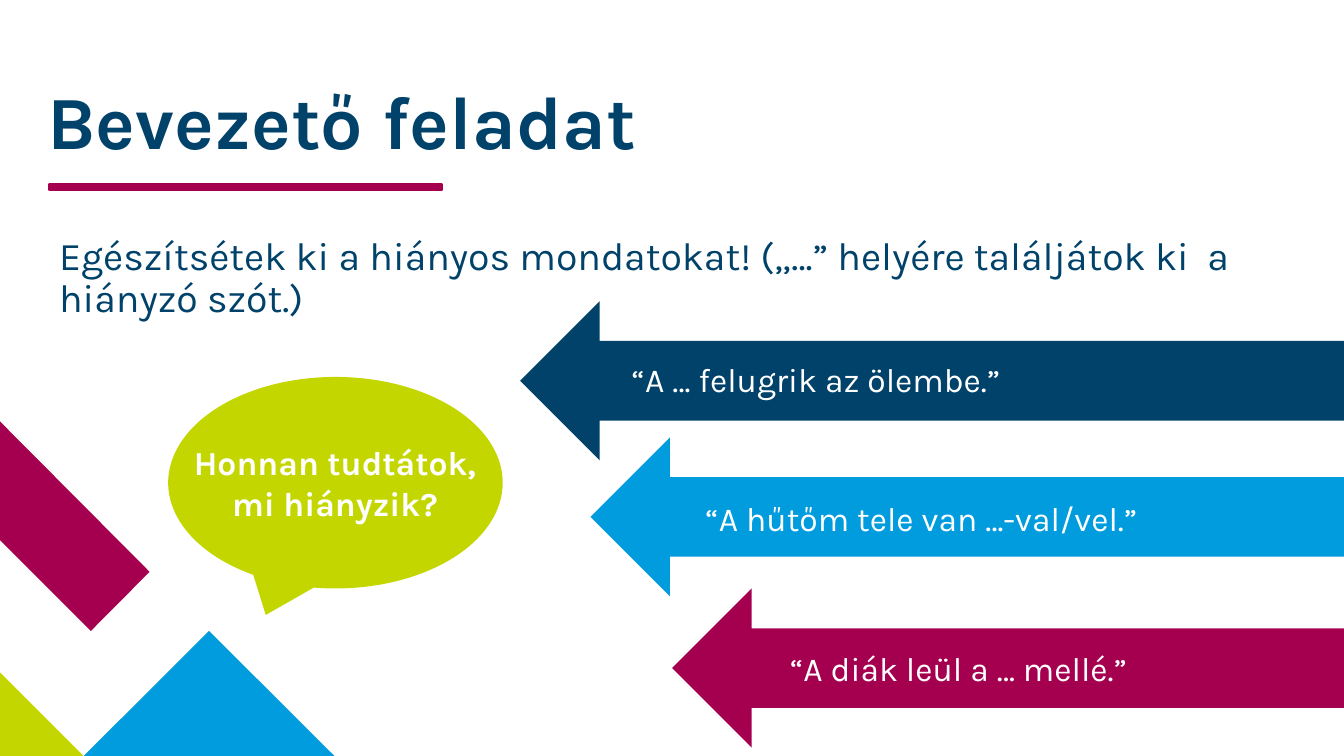
from pptx import Presentation
from pptx.dml.color import RGBColor
from pptx.enum.shapes import MSO_SHAPE
from pptx.enum.text import MSO_ANCHOR, PP_ALIGN
from pptx.util import Cm, Pt

NAVY, BLUE, MAGENTA, LIME, WHITE = "00426A", "009CDE", "A50050", "C4D600", "FFFFFF"
FONT = "Karla"
SLIDE_W, SLIDE_H = 33.87, 19.05

TITLE = "Bevezető feladat"
TASK = "Egészítsétek ki a hiányos mondatokat! („…” helyére találjátok ki  a hiányzó szót.)"
QUESTION = "Honnan tudtátok, mi hiányzik?"

# sentence, colour, arrow (left, top, width), text (left, top, width), all in cm
ARROWS = [
    ("“A … felugrik az ölembe.”", NAVY, (13.11, 7.59, 21.03), (15.67, 8.92, 17.53)),
    ("“A hűtőm tele van …-val/vel.”", BLUE, (14.88, 11.02, 20.47), (17.53, 12.42, 12.75)),
    ("“A diák leül a … mellé.”", MAGENTA, (16.94, 14.83, 20.47), (19.66, 16.21, 12.98)),
]
ARROW_H = 4.01
SENTENCE_H = 1.27

CORNER_PIECES = [
    (LIME, [(2.11, SLIDE_H), (0, SLIDE_H), (0, 16.94)]),
    (BLUE, [(2.11, SLIDE_H), (5.27, 15.9), (8.43, SLIDE_H)]),
    (MAGENTA, [(0, 10.62), (0, 13.61), (2.29, 15.9), (3.77, 14.41)]),
]


def rgb(color):
    return RGBColor.from_string(color)


def paint(sp, color):
    sp.shadow.inherit = False
    sp.fill.solid()
    sp.fill.fore_color.rgb = rgb(color)
    sp.line.fill.background()


def add_filled(s, kind, box, color):
    sp = s.shapes.add_shape(kind, *map(Cm, box))
    paint(sp, color)
    return sp


def add_polygon(s, points, color):
    points = [(Cm(x), Cm(y)) for x, y in points]
    builder = s.shapes.build_freeform(*points[0])
    builder.add_line_segments(points[1:], close=True)
    paint(builder.convert_to_shape(), color)


def add_text(s, text, box, size, color, bold=False, spacing=None,
             align=PP_ALIGN.LEFT, anchor=MSO_ANCHOR.TOP):
    tf = s.shapes.add_textbox(*map(Cm, box)).text_frame
    tf.word_wrap = True
    tf.vertical_anchor = anchor
    tf.text = text
    p = tf.paragraphs[0]
    p.alignment = align
    p.line_spacing = spacing
    font = p.runs[0].font
    font.name, font.size, font.bold = FONT, Pt(size), bold
    font.color.rgb = rgb(color)


def main():
    prs = Presentation()
    prs.slide_width, prs.slide_height = Cm(SLIDE_W), Cm(SLIDE_H)
    s = prs.slides.add_slide(prs.slide_layouts[6])

    for color, points in CORNER_PIECES:
        add_polygon(s, points, color)

    add_text(s, TITLE, (0.94, 1.98, 15.49, 2.36), 53.6, NAVY, bold=True,
             spacing=0.9, anchor=MSO_ANCHOR.MIDDLE)
    add_text(s, TASK, (1.24, 5.84, 31.8, 2.41), 28, NAVY, spacing=0.9)
    rule = add_filled(s, MSO_SHAPE.RECTANGLE, (1.24, 4.65, 9.91, 0.13), MAGENTA)
    rule.line.color.rgb = rgb(MAGENTA)
    rule.line.width = Pt(1.5)

    for sentence, color, arrow, label in ARROWS:
        add_filled(s, MSO_SHAPE.LEFT_ARROW, (*arrow, ARROW_H), color)
        add_text(s, sentence, (*label, SENTENCE_H), 24, WHITE)

    add_filled(s, MSO_SHAPE.OVAL_CALLOUT, (4.24, 9.5, 8.43, 5.33), LIME)
    add_text(s, QUESTION, (4.45, 11.02, 7.98, 2.31), 24, WHITE, bold=True,
             align=PP_ALIGN.CENTER)

    prs.save("out.pptx")


if __name__ == "__main__":
    main()
